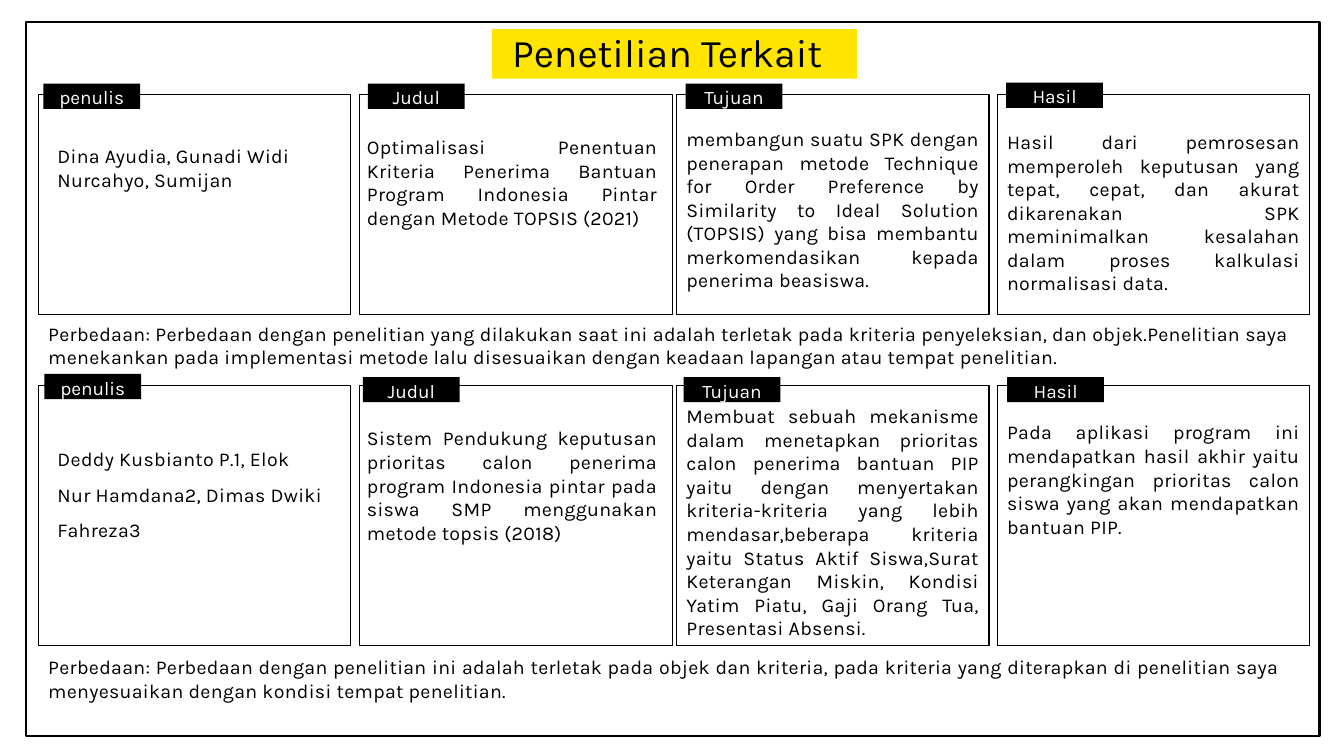
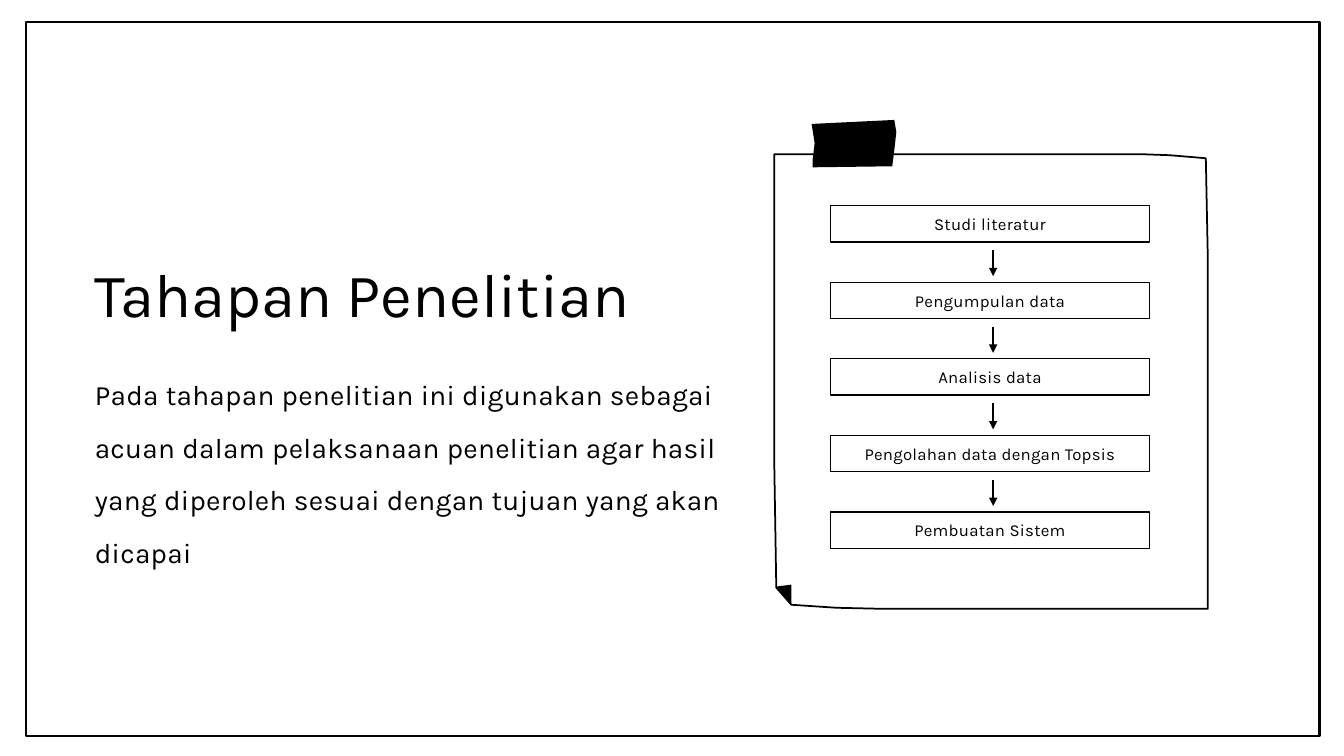
from dataclasses import dataclass

from lxml import etree
from pptx import Presentation
from pptx.dml.color import RGBColor
from pptx.enum.shapes import MSO_CONNECTOR, MSO_SHAPE
from pptx.enum.text import MSO_ANCHOR, MSO_AUTO_SIZE, PP_ALIGN
from pptx.oxml.ns import qn
from pptx.util import Inches, Pt

RECTANGLE = MSO_SHAPE.RECTANGLE
STRAIGHT = MSO_CONNECTOR.STRAIGHT
TOP, MIDDLE = MSO_ANCHOR.TOP, MSO_ANCHOR.MIDDLE
LEFT, CENTER, JUSTIFY = PP_ALIGN.LEFT, PP_ALIGN.CENTER, PP_ALIGN.JUSTIFY
NO_AUTOFIT = MSO_AUTO_SIZE.NONE
TITLE_ONLY, TITLE_AND_BODY = 5, 1


@dataclass(frozen=True)
class Theme:
    font: str = "Karla"
    ink: RGBColor = RGBColor(0, 0, 0)
    paper: RGBColor = RGBColor(0xFF, 0xFF, 0xFF)
    highlight: RGBColor = RGBColor(0xFF, 0xE5, 0x00)
    small_title: float = 28
    large_title: float = 44
    lead: float = 20
    text: float = 14
    tag: float = 13.6
    step: float = 12
    tracking: str = "20"
    frame_line: float = 1.8
    card_line: float = 0.75
    note_line: float = 1.25
    step_line: float = 1
    arrow_line: float = 1.5


@dataclass(frozen=True)
class Column:
    heading: str
    left: float
    inset_left: float
    inset_right: float
    align: PP_ALIGN


@dataclass(frozen=True)
class Card:
    tag_left: float
    tag_top: float
    inset_top: float
    text: str
    line_spacing: float = 1


@dataclass(frozen=True)
class Study:
    top: float
    height: float
    cards: tuple
    difference: str
    difference_top: float
    difference_width: float


THEME = Theme()
CARD_WIDTH = 3.1
COLUMNS = (
    Column("penulis", 0.38, 0.19, 0.24, LEFT),
    Column("Judul", 3.57, 0.07, 0.15, JUSTIFY),
    Column("Tujuan", 6.71, 0.1, 0.1, JUSTIFY),
    Column("Hasil", 9.89, 0.1, 0.1, JUSTIFY),
)
STUDIES = (
    Study(
        0.94, 2.18,
        (
            Card(0.43, 0.83, 0.49, "Dina Ayudia, Gunadi Widi Nurcahyo, Sumijan"),
            Card(3.65, 0.83, 0.4,
                 "Optimalisasi Penentuan Kriteria Penerima Bantuan Program "
                 "Indonesia Pintar dengan Metode TOPSIS (2021)"),
            Card(6.8, 0.83, 0.32,
                 "membangun suatu SPK dengan penerapan metode Technique for Order "
                 "Preference by Similarity to Ideal Solution (TOPSIS) yang bisa "
                 "membantu merkomendasikan kepada penerima beasiswa."),
            Card(9.98, 0.82, 0.35,
                 "Hasil dari pemrosesan memperoleh keputusan yang tepat, cepat, dan "
                 "akurat dikarenakan SPK meminimalkan kesalahan dalam proses "
                 "kalkulasi normalisasi data."),
        ),
        "Perbedaan: Perbedaan dengan penelitian yang dilakukan saat ini adalah "
        "terletak pada kriteria penyeleksian, dan objek.Penelitian saya menekankan "
        "pada implementasi metode lalu disesuaikan dengan keadaan lapangan atau "
        "tempat penelitian.",
        3.14, 12.51,
    ),
    Study(
        3.82, 2.58,
        (
            Card(0.44, 3.71, 0.5,
                 "Deddy Kusbianto P.1, Elok Nur Hamdana2, Dimas Dwiki Fahreza3", 1.5),
            Card(3.6, 3.74, 0.41,
                 "Sistem Pendukung keputusan prioritas calon penerima program "
                 "Indonesia pintar pada siswa SMP menggunakan metode topsis (2018)"),
            Card(6.78, 3.74, 0.19,
                 "Membuat sebuah mekanisme dalam menetapkan prioritas calon penerima "
                 "bantuan PIP yaitu dengan menyertakan kriteria-kriteria yang lebih "
                 "mendasar,beberapa kriteria yaitu Status Aktif Siswa,Surat "
                 "Keterangan Miskin, Kondisi Yatim Piatu, Gaji Orang Tua, Presentasi "
                 "Absensi."),
            Card(9.99, 3.74, 0.35,
                 "Pada aplikasi program ini mendapatkan hasil akhir yaitu "
                 "perangkingan prioritas calon siswa yang akan mendapatkan bantuan "
                 "PIP."),
        ),
        "Perbedaan: Perbedaan dengan penelitian ini adalah terletak pada objek dan "
        "kriteria, pada kriteria yang diterapkan di penelitian saya menyesuaikan "
        "dengan kondisi tempat penelitian.",
        6.45, 12.42,
    ),
)

STEPS = ("Studi literatur", "Pengumpulan data", "Analisis data",
         "Pengolahan data dengan Topsis", "Pembuatan Sistem")
STEP_LEFT, STEP_TOP, STEP_WIDTH, STEP_HEIGHT = 8.24, 2.04, 3.16, 0.36
STEP_PITCH = 0.76
ARROW_X, ARROW_OFFSET, ARROW_LENGTH = 9.85, 0.44, 0.26

NOTE_SHEET = ((7.68, 1.53), (8.93, 1.53), (10.83, 1.53), (11.33, 1.53), (11.6, 1.54),
              (11.96, 1.57), (11.98, 2.58), (11.98, 6.04), (8.75, 6.04), (8.3, 6.03),
              (7.85, 6), (7.7, 5.83), (7.68, 4.61), (7.68, 3.85))
NOTE_FOLD = ((7.7, 5.82), (7.85, 5.8), (7.85, 6))
NOTE_TAPE = ((8.87, 1.19), (8.89, 1.31), (8.87, 1.49), (8.85, 1.65),
             (8.06, 1.66), (8.06, 1.59), (8.08, 1.42), (8.05, 1.23))


def style(shape, fill=None, line_width=None):
    """Give a shape a flat fill and an ink outline; None leaves either out."""
    shape.shadow.inherit = False
    if fill is None:
        shape.fill.background()
    else:
        shape.fill.solid()
        shape.fill.fore_color.rgb = fill
    if line_width is None:
        shape.line.fill.background()
    else:
        shape.line.color.rgb = THEME.ink
        shape.line.width = Pt(line_width)


def write(shape, text, size, align=LEFT, anchor=TOP, color=THEME.ink,
          insets=(0, 0, 0, 0), line_spacing=1, tracked=False, wrap=True):
    """Set one paragraph; insets run left, top, right, bottom."""
    frame = shape.text_frame
    frame.word_wrap = wrap
    frame.auto_size = NO_AUTOFIT
    frame.vertical_anchor = anchor
    (frame.margin_left, frame.margin_top,
     frame.margin_right, frame.margin_bottom) = map(Inches, insets)
    frame.text = text
    paragraph = frame.paragraphs[0]
    paragraph.alignment = align
    paragraph.line_spacing = line_spacing
    paragraph.space_before = Pt(0)
    paragraph.font.name = THEME.font
    paragraph.font.size = Pt(size)
    paragraph.font.color.rgb = color
    if tracked:
        paragraph.runs[0]._r.get_or_add_rPr().set("spc", THEME.tracking)
    return paragraph


def place(shape, left, top, width, height):
    shape.left, shape.top = Inches(left), Inches(top)
    shape.width, shape.height = Inches(width), Inches(height)


def add_box(slide, left, top, width, height, fill=None, line_width=None):
    box = slide.shapes.add_shape(RECTANGLE, Inches(left), Inches(top),
                                 Inches(width), Inches(height))
    style(box, fill, line_width)
    return box


def add_outline(slide, points, fill=None, line_width=None):
    start, *rest = [(Inches(x), Inches(y)) for x, y in points]
    builder = slide.shapes.build_freeform(*start)
    builder.add_line_segments(rest, close=True)
    style(builder.convert_to_shape(), fill, line_width)


def add_down_arrow(slide, x, top, length):
    arrow = slide.shapes.add_connector(STRAIGHT, Inches(x), Inches(top),
                                       Inches(x), Inches(top + length))
    arrow.line.color.rgb = THEME.ink
    arrow.line.width = Pt(THEME.arrow_line)
    etree.SubElement(arrow.line._get_or_add_ln(), qn("a:tailEnd"), type="triangle")
    etree.SubElement(arrow._element.spPr, qn("a:effectLst"))


def add_framed_slide(deck, layout):
    slide = deck.slides.add_slide(deck.slide_layouts[layout])
    add_box(slide, 0.26, 0.22, 12.83, 7.08, line_width=THEME.frame_line)
    return slide


def add_card(slide, study, column, card):
    body = add_box(slide, column.left, study.top, CARD_WIDTH, study.height,
                   line_width=THEME.card_line)
    write(body, card.text, THEME.text, column.align,
          insets=(column.inset_left, card.inset_top, column.inset_right, 0),
          line_spacing=card.line_spacing, tracked=True)
    tag = add_box(slide, card.tag_left, card.tag_top, 0.96, 0.25, THEME.ink)
    write(tag, column.heading, THEME.tag, CENTER, MIDDLE, THEME.paper,
          insets=(0, 0, 0, 0.02), line_spacing=Pt(19))


def add_difference(slide, study):
    difference = slide.shapes.add_textbox(
        Inches(COLUMNS[0].left), Inches(study.difference_top),
        Inches(study.difference_width), Inches(0.57))
    write(difference, study.difference, THEME.text, JUSTIFY,
          insets=(0.1, 0.05, 0.1, 0.05), tracked=True)


def build_related_studies(deck):
    slide = add_framed_slide(deck, TITLE_ONLY)
    title = slide.shapes.title
    place(title, 4.88, 0.29, 3.62, 0.49)
    title.fill.solid()
    title.fill.fore_color.rgb = THEME.highlight
    write(title, "Penetilian Terkait", THEME.small_title, anchor=MIDDLE,
          insets=(0.2, 0, 0, 0.04), wrap=False)
    for study in STUDIES:
        for column, card in zip(COLUMNS, study.cards):
            add_card(slide, study, column, card)
        add_difference(slide, study)


def build_research_stages(deck):
    slide = add_framed_slide(deck, TITLE_AND_BODY)
    title, lead = slide.shapes.title, slide.placeholders[1]
    place(title, 0.94, 2.2, 6.54, 1)
    write(title, "Tahapan Penelitian", THEME.large_title, line_spacing=Pt(77))
    place(lead, 0.94, 3.56, 6.54, 2.09)
    paragraph = write(
        lead,
        "Pada tahapan penelitian ini digunakan sebagai acuan dalam pelaksanaan "
        "penelitian agar hasil yang diperoleh sesuai dengan tujuan yang akan dicapai",
        THEME.lead, line_spacing=Pt(37.5), tracked=True)
    properties = paragraph._p.get_or_add_pPr()
    properties.set("marL", "0")
    properties.set("indent", "0")
    properties.insert_element_before(
        properties.makeelement(qn("a:buNone")), "a:tabLst", "a:defRPr", "a:extLst")

    add_outline(slide, NOTE_SHEET, line_width=THEME.note_line)
    add_outline(slide, NOTE_FOLD, THEME.ink)
    add_outline(slide, NOTE_TAPE, THEME.ink)
    for index, step in enumerate(STEPS):
        top = STEP_TOP + index * STEP_PITCH
        box = add_box(slide, STEP_LEFT, top, STEP_WIDTH, STEP_HEIGHT,
                      line_width=THEME.step_line)
        write(box, step, THEME.step, CENTER, MIDDLE, tracked=True)
        if index < len(STEPS) - 1:
            add_down_arrow(slide, ARROW_X, top + ARROW_OFFSET, ARROW_LENGTH)


def main():
    deck = Presentation()
    deck.slide_width, deck.slide_height = Inches(13.33), Inches(7.5)
    build_related_studies(deck)
    build_research_stages(deck)
    deck.save("out.pptx")


if __name__ == "__main__":
    main()
